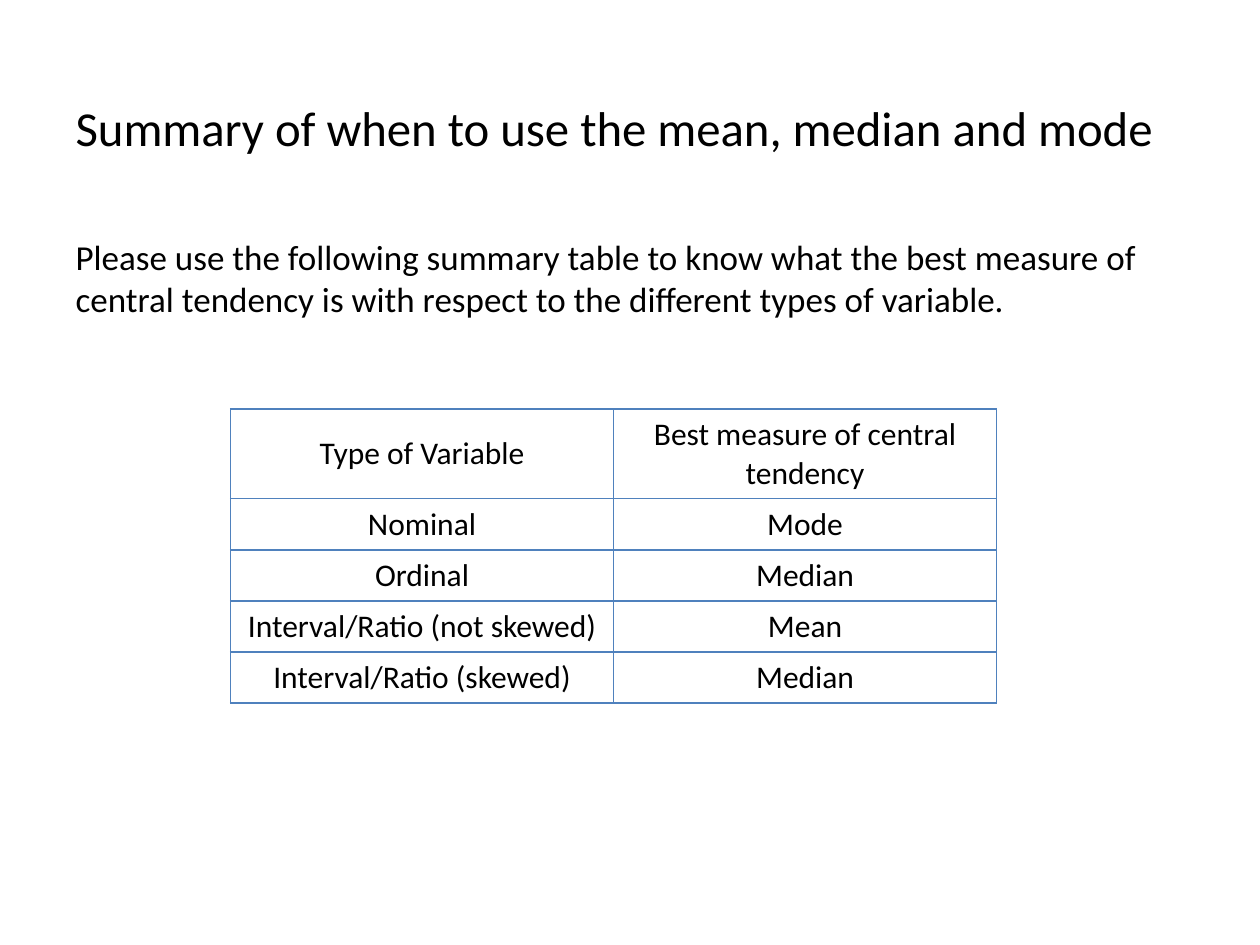
from pptx import Presentation, util as u
from pptx.dml.color import RGBColor
from pptx.enum import text as t
from pptx.oxml import parse_xml
from pptx.oxml.ns import nsdecls, qn

BLACK = RGBColor(0, 0, 0)
BLUE = RGBColor(0x4F, 0x81, 0xBD)
WIDE, HIGH = u.Inches(10), u.Inches(7.5)

HEAD = "Summary of when to use the mean, median and mode"
NOTE = ("Please use the following summary table to know what the best measure "
        "of central tendency is with respect to the different types of variable.")
ROWS = [
    ("Type of Variable", "Best measure of central tendency"),
    ("Nominal", "Mode"),
    ("Ordinal", "Median"),
    ("Interval/Ratio (not skewed)", "Mean"),
    ("Interval/Ratio (skewed)", "Median"),
]


def apply(item, style):
    for name, value in style.items():
        setattr(item, name, value)


def share(x, y, w, h):
    return {"left": int(WIDE * x), "top": int(HIGH * y),
            "width": int(WIDE * w), "height": int(HIGH * h)}


def write(frame, words, size, align):
    frame.text = words
    para = frame.paragraphs[0]
    apply(para, {"alignment": align, "space_before": u.Pt(0)})
    apply(para.font, {"name": "Calibri", "size": u.Pt(size)})
    para.font.color.rgb = BLACK
    return para


def add_head(holder, box):
    apply(holder, box)
    frame = holder.text_frame
    apply(frame, {"auto_size": t.MSO_AUTO_SIZE.NONE, "margin_bottom": 0,
                  "vertical_anchor": t.MSO_ANCHOR.BOTTOM})
    write(frame, HEAD, 27.9, t.PP_ALIGN.LEFT)


def add_note(holder, box):
    apply(holder, box)
    frame = holder.text_frame
    apply(frame, {"auto_size": t.MSO_AUTO_SIZE.NONE,
                  "margin_top": int(box["height"] * 0.14)})
    props = write(frame, NOTE, 20, t.PP_ALIGN.LEFT)._p.get_or_add_pPr()
    props.set("marL", "0")
    props.set("indent", "0")
    props.append(parse_xml(f"<a:buNone {nsdecls('a')}/>"))


def add_rule(cell):
    props = cell._tc.get_or_add_tcPr()
    for place, side in enumerate(("lnL", "lnR", "lnT", "lnB")):
        props.insert(place, parse_xml(
            f'<a:{side} {nsdecls("a")} w="{u.Pt(1)}"><a:solidFill>'
            f'<a:srgbClr val="{BLUE}"/></a:solidFill></a:{side}>'))


def add_grid(slide, box):
    table = slide.shapes.add_table(len(ROWS), len(ROWS[0]), **box).table
    apply(table, {"first_row": False, "horz_banding": False})
    for place, row in enumerate(table.rows):
        row.height = int(box["height"] * (0.304 if place == 0 else 0.174))
    for row, words in zip(table.rows, ROWS):
        for cell, word in zip(row.cells, words):
            write(cell.text_frame, word, 18, t.PP_ALIGN.CENTER)
            cell.vertical_anchor = t.MSO_ANCHOR.MIDDLE
            cell.fill.background()
            add_rule(cell)


def main():
    deck = Presentation()
    apply(deck, {"slide_width": WIDE, "slide_height": HIGH})
    slide = deck.slides.add_slide(deck.slide_layouts[1])
    add_head(slide.shapes.title, share(0.05, 0.03, 0.9, 0.135))
    add_note(slide.placeholders[1], share(0.05, 0.144, 0.9, 0.75))
    add_grid(slide, share(0.183, 0.433, 0.608, 0.31))
    deck.save("out.pptx")


if __name__ == "__main__":
    main()
